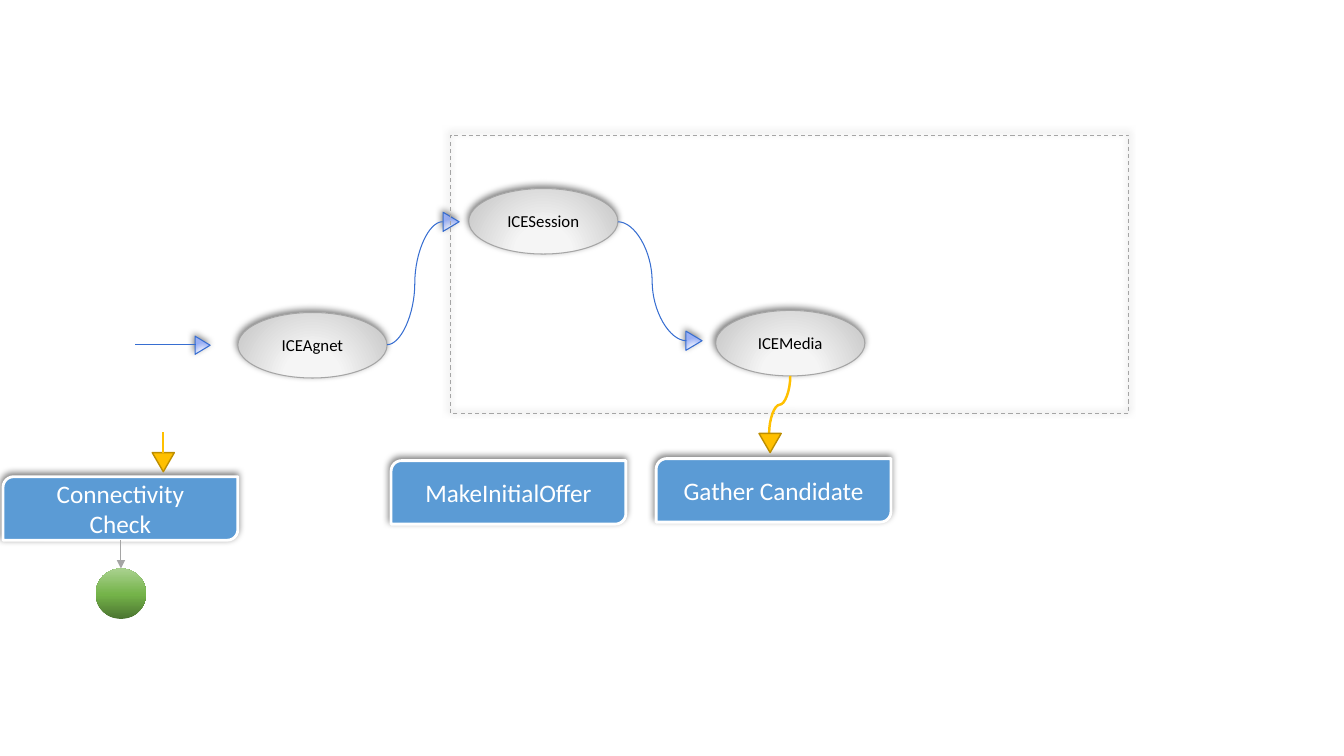
from dataclasses import dataclass
from pptx import Presentation
from pptx.dml.color import RGBColor
from pptx.enum import dml, shapes, text
from pptx.oxml import parse_xml
from pptx.oxml.ns import nsdecls, qn
from pptx.util import Pt

KIND = shapes.MSO_SHAPE
LINK = shapes.MSO_CONNECTOR


@dataclass(frozen=True)
class Theme:
    font: str = "Calibri"
    big: int = 18
    small: int = 12
    black: str = "000000"
    white: str = "FFFFFF"
    blue: str = "5B9BD5"
    edge: str = "376ED1"
    gray: str = "A5A5A5"
    gold: str = "FFC000"
    rim: str = "BD8E00"
    silver: tuple = ((0, "F8F8F8"), (34, "F5F5F5"), (100, "CFCFCF"))
    sky: tuple = ((0, "EFF3FF"), (34, "EAEFFE"), (100, "9AB0F5"))
    green: tuple = ((0, "4B7430"), (48, "74B349"), (100, "A9D18E"))


THEME = Theme()
GLOW = ('<a:path path="circle"><a:fillToRect l="50000" t="155000" '
        'r="50000" b="-55000"/></a:path>')
RISE = '<a:lin ang="16200000" scaled="0"/>'


def make(tag, inner="", attrs=""):
    return parse_xml(f'<a:{tag} {nsdecls("a")} {attrs}>{inner}</a:{tag}>')


def shade(shape, stops, way):
    marks = "".join(f'<a:gs pos="{pos * 1000}"><a:srgbClr val="{tint}"/></a:gs>'
                    for pos, tint in stops)
    geom = shape._element.spPr.find(qn("a:prstGeom"))
    geom.addnext(make("gradFill", f"<a:gsLst>{marks}</a:gsLst>{way}"))


def stroke(line, tint, width):
    line.color.rgb = RGBColor.from_string(tint)
    line.width = Pt(width)


def cast(shape):
    drop = make("outerShdw",
                f'<a:srgbClr val="{THEME.black}"><a:alpha val="50000"/></a:srgbClr>',
                f'blurRad="{Pt(5)}" dist="{Pt(2)}" dir="{245 * 60000}" rotWithShape="0"')
    shape._element.spPr.find(qn("a:effectLst")).append(drop)


def draw(slide, kind, box, fill=None, line=None, way=GLOW, shadow=True):
    shape = slide.shapes.add_shape(kind, *map(Pt, box))
    if isinstance(fill, tuple):
        shade(shape, fill, way)
    elif fill:
        shape.fill.solid()
        shape.fill.fore_color.rgb = RGBColor.from_string(fill)
    else:
        shape.fill.background()
    if line:
        stroke(shape.line, *line)
    else:
        shape.line.fill.background()
    shape.shadow.inherit = False
    if shadow:
        cast(shape)
    return shape


def write(shape, lines, size, tint):
    frame = shape.text_frame
    frame.word_wrap = True
    frame.vertical_anchor = text.MSO_ANCHOR.MIDDLE
    for i, words in enumerate(lines):
        para = frame.add_paragraph() if i else frame.paragraphs[0]
        para.alignment = text.PP_ALIGN.CENTER
        run = para.add_run()
        run.text = words
        run.font.name = THEME.font
        run.font.size = Pt(size)
        run.font.color.rgb = RGBColor.from_string(tint)


def node(slide, x, y, name):
    oval = draw(slide, KIND.OVAL, (x, y, 106.56, 46.8), THEME.silver,
                (THEME.gray, 0.75))
    write(oval, [name], THEME.small, THEME.black)


def step(slide, x, y, *lines):
    card = draw(slide, KIND.ROUND_2_DIAG_RECTANGLE, (x, y, 167.76, 45.36),
                THEME.blue, (THEME.white, 2))
    write(card, lines, THEME.big, THEME.white)


def point(slide, x, y, wide=13.68, high=11.52):
    tip = draw(slide, KIND.ISOSCELES_TRIANGLE, (x, y, wide, high), THEME.sky,
               (THEME.edge, 0.75))
    tip.rotation = 90


def drip(slide, x, y):
    tip = draw(slide, KIND.ISOSCELES_TRIANGLE, (x, y, 15.84, 13.68), THEME.gold,
               (THEME.rim, 1), shadow=False)
    tip.rotation = 180


def join(slide, kind, ends, tint, width, arrow=False):
    link = slide.shapes.add_connector(kind, *map(Pt, ends))
    stroke(link.line, tint, width)
    if arrow:
        link.line._get_or_add_ln().append(make("tailEnd", attrs='type="triangle"'))
    link._element.spPr.append(make("effectLst"))
    return link


def fall(slide, x1, y1, x2, y2, tint, width):
    mid, half = (x1 + x2) / 2, (y2 - y1) / 2
    level, rise = (y1 + y2) / 2, (x1 - x2) / 2
    ends = mid - half, level - rise, mid + half, level + rise
    link = join(slide, LINK.CURVE, ends, tint, width)
    link._element.spPr.find(qn("a:xfrm")).set("rot", str(90 * 60000))


def main():
    deck = Presentation()
    deck.slide_width, deck.slide_height = Pt(960), Pt(540)
    slide = deck.slides.add_slide(deck.slide_layouts[6])

    step(slide, 468.72, 327.6, "Gather Candidate")
    node(slide, 169.92, 223.2, "ICEAgnet")
    node(slide, 334.8, 134.64, "ICESession")
    node(slide, 511.2, 221.76, "ICEMedia")

    point(slide, 138.24, 241.2, 12.96, 10.8)
    join(slide, LINK.STRAIGHT, (96.48, 246.24, 139.68, 246.24), THEME.edge, 0.75)
    point(slide, 315.36, 152.64)
    join(slide, LINK.CURVE, (276.48, 246.24, 316.08, 158.4), THEME.edge, 0.75)
    point(slide, 488.88, 237.6)
    join(slide, LINK.CURVE, (441.36, 158.4, 490.32, 243.36), THEME.edge, 0.75)

    frame = draw(slide, KIND.RECTANGLE, (321.84, 96.48, 484.56, 198.72),
                 line=(THEME.gray, 0.75))
    frame.line.dash_style = dml.MSO_LINE.DASH

    fall(slide, 564.48, 268.56, 549.36, 309.6, THEME.gold, 1.75)
    drip(slide, 542.16, 309.6)
    step(slide, 2.16, 340.56, "Connectivity", "Check")
    drip(slide, 108.72, 323.28)
    join(slide, LINK.STRAIGHT, (116.64, 308.88, 116.64, 323.28), THEME.gold, 1.75)
    draw(slide, KIND.FLOWCHART_CONNECTOR, (68.4, 406.08, 36, 36), THEME.green,
         way=RISE, shadow=False)
    join(slide, LINK.STRAIGHT, (86.4, 385.92, 86.4, 406.08), THEME.gray, 0.75, True)
    step(slide, 279.36, 329.04, "MakeInitialOffer")

    deck.save("out.pptx")


if __name__ == "__main__":
    main()
